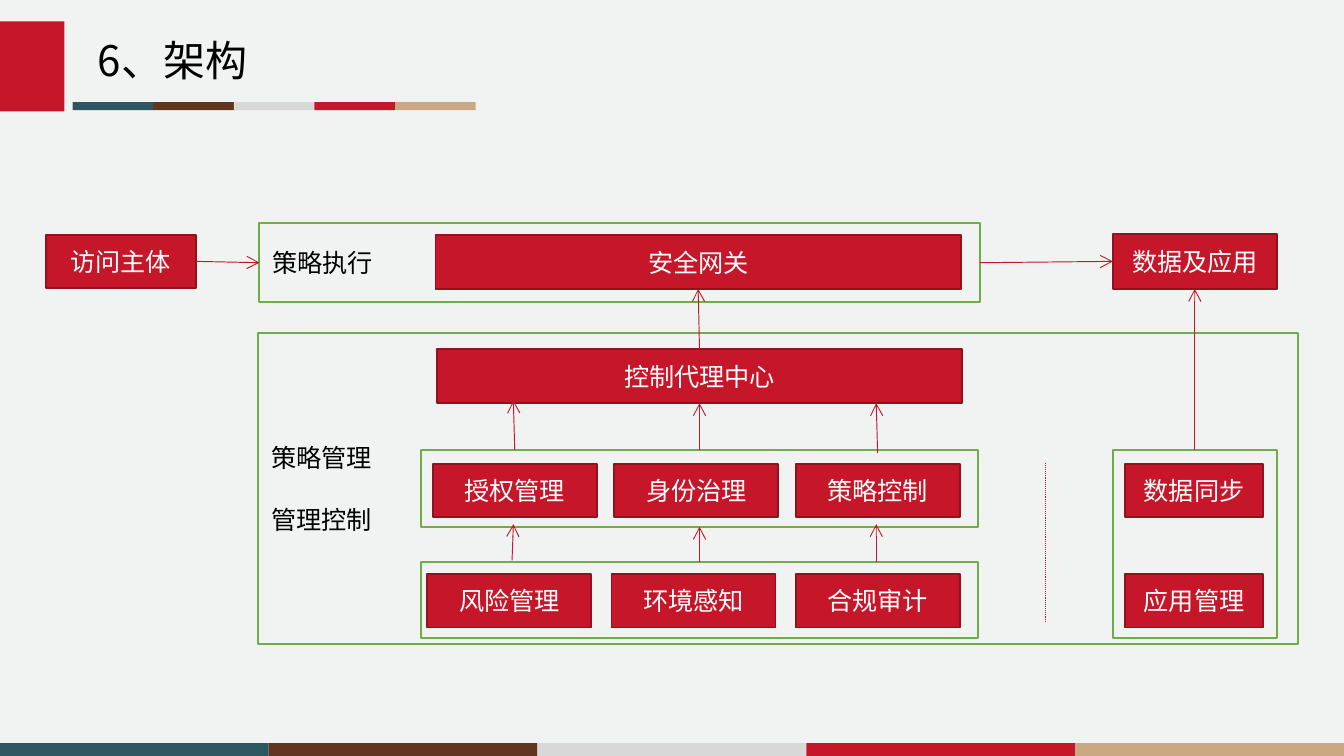
import pptx
import pptx.dml.color
import pptx.enum.dml
import pptx.enum.shapes
import pptx.enum.text
import pptx.oxml.ns
import pptx.util
from lxml import etree

Inches = pptx.util.Inches
Pt = pptx.util.Pt
qn = pptx.oxml.ns.qn
color = pptx.dml.color.RGBColor.from_string
ALIGN = pptx.enum.text.PP_ALIGN

RED, DARK_RED, GREEN = "C51729", "92111E", "70AD47"
BLACK, WHITE = "000000", "FFFFFF"
STRIPE_COLORS = ["2E5660", "613620", "D8D8D8", RED, "CAA884"]
CJK_FONT = "Noto Sans CJK SC"
FRAME_FORMAT = {
    "word_wrap": True,
    "vertical_anchor": pptx.enum.text.MSO_ANCHOR.MIDDLE,
    "margin_left": Inches(0.1),
    "margin_right": Inches(0.1),
    "margin_top": Inches(0.05),
    "margin_bottom": Inches(0.05),
}


def write_text(shape, lines, text_color, alignment, size=13.5, font_name="Arial"):
    """Write one paragraph per line, with a gap between paragraphs."""
    frame = shape.text_frame
    for name, value in FRAME_FORMAT.items():
        setattr(frame, name, value)
    for index, line in enumerate(lines):
        paragraph = frame.add_paragraph() if index else frame.paragraphs[0]
        paragraph.alignment = alignment
        if index:
            paragraph.space_before = Pt(17)
        run = paragraph.add_run()
        run.text = line
        for name, value in {"name": font_name, "size": Pt(size)}.items():
            setattr(run.font, name, value)
        run.font.color.rgb = color(text_color)
        east_asian = etree.SubElement(run._r.get_or_add_rPr(), qn("a:ea"))
        east_asian.set("typeface", CJK_FONT)


def add_box(left, top, width, height, fill=None, line=None):
    shape = slide.shapes.add_shape(
        pptx.enum.shapes.MSO_SHAPE.RECTANGLE,
        Inches(left), Inches(top), Inches(width), Inches(height))
    shape.shadow.inherit = False
    if fill:
        shape.fill.solid()
        shape.fill.fore_color.rgb = color(fill)
    else:
        shape.fill.background()
    if line:
        shape.line.color.rgb = color(line)
        shape.line.width = Pt(1)
    else:
        shape.line.fill.background()
    return shape


presentation = pptx.Presentation()
presentation.slide_width = Inches(10)
presentation.slide_height = Inches(10) * 9 // 16
slide = presentation.slides.add_slide(presentation.slide_layouts[6])
slide.background.fill.solid()
slide.background.fill.fore_color.rgb = color("F1F3F2")

# Footer stripes, title and the stripes under it
for index, stripe_color in enumerate(STRIPE_COLORS):
    add_box(2 * index, 5.53, 2, 0.1, stripe_color)
add_box(0, 0.16, 0.48, 0.67, RED)
title = slide.shapes.add_textbox(Inches(0.63), Inches(0.24), Inches(3.35), Inches(0.41))
write_text(title, ["6、架构"], BLACK, ALIGN.LEFT, 22.5, CJK_FONT)
for index, stripe_color in enumerate(STRIPE_COLORS):
    add_box(0.54 + 0.6 * index, 0.76, 0.6, 0.06, stripe_color)

# Red component boxes
components = {}
for label, left, top, width, height in [
    ("安全网关", 3.24, 1.75, 3.91, 0.4),
    ("控制代理中心", 3.25, 2.6, 3.91, 0.4),
    ("授权管理", 3.22, 3.45, 1.22, 0.4),
    ("身份治理", 4.57, 3.45, 1.22, 0.4),
    ("策略控制", 5.92, 3.45, 1.22, 0.4),
    ("风险管理", 3.18, 4.27, 1.22, 0.4),
    ("环境感知", 4.55, 4.27, 1.22, 0.4),
    ("合规审计", 5.92, 4.27, 1.22, 0.4),
    ("访问主体", 0.34, 1.75, 1.12, 0.39),
    ("数据及应用", 8.28, 1.74, 1.22, 0.41),
    ("数据同步", 8.37, 3.45, 1.03, 0.4),
    ("应用管理", 8.37, 4.27, 1.03, 0.4),
]:
    components[label] = add_box(left, top, width, height, RED, DARK_RED)
    write_text(components[label], [label], WHITE, ALIGN.CENTER)

# Green frames
execution_frame = add_box(1.93, 1.66, 5.36, 0.59, line=GREEN)
write_text(execution_frame, ["策略执行"], BLACK, ALIGN.LEFT)
management_frame = add_box(1.92, 2.48, 7.74, 2.31, line=GREEN)
write_text(management_frame, ["策略管理", "管理控制"], BLACK, ALIGN.LEFT)
data_frame = add_box(8.28, 3.35, 1.22, 1.4, line=GREEN)
control_frame = add_box(3.13, 3.35, 4.15, 0.57, line=GREEN)
audit_frame = add_box(3.13, 4.18, 4.15, 0.57, line=GREEN)

# Lines: start, end, joined shape and side at each end, arrowhead
gateway, agent = components["安全网关"], components["控制代理中心"]
subject, data = components["访问主体"], components["数据及应用"]
TOP, LEFT, BOTTOM, RIGHT = range(4)
for start, end, begin_join, end_join, has_arrow in [
    ((5.2, 2.6), (5.19, 2.15), (agent, TOP), (gateway, BOTTOM), True),
    ((3.83, 3.35), (3.82, 2.98), None, None, True),
    ((5.2, 3.35), (5.2, 3), (control_frame, TOP), (agent, BOTTOM), True),
    ((6.53, 3.37), (6.52, 3), None, None, True),
    ((3.81, 4.17), (3.82, 3.9), None, None, True),
    ((5.2, 4.18), (5.2, 3.92), (audit_frame, TOP), (control_frame, BOTTOM), True),
    ((6.52, 4.18), (6.52, 3.9), None, None, True),
    ((8.89, 3.35), (8.89, 2.15), (data_frame, TOP), (data, BOTTOM), True),
    ((1.46, 1.95), (1.93, 1.95), (subject, RIGHT), (execution_frame, LEFT), True),
    ((7.28, 1.95), (8.28, 1.94), (execution_frame, RIGHT), (data, LEFT), True),
    ((7.78, 4.63), (7.78, 3.44), None, None, False),
]:
    connector = slide.shapes.add_connector(
        pptx.enum.shapes.MSO_CONNECTOR.STRAIGHT,
        *[Inches(value) for value in start + end])
    if begin_join:
        connector.begin_connect(*begin_join)
    if end_join:
        connector.end_connect(*end_join)
    connector.line.color.rgb = color(RED)
    connector.line.width = Pt(0.5)
    if has_arrow:
        line_element = connector.line._get_or_add_ln()
        etree.SubElement(line_element, qn("a:tailEnd")).set("type", "arrow")
    else:
        connector.line.dash_style = pptx.enum.dml.MSO_LINE.ROUND_DOT
    etree.SubElement(connector._element.spPr, qn("a:effectLst"))

presentation.save("out.pptx")
